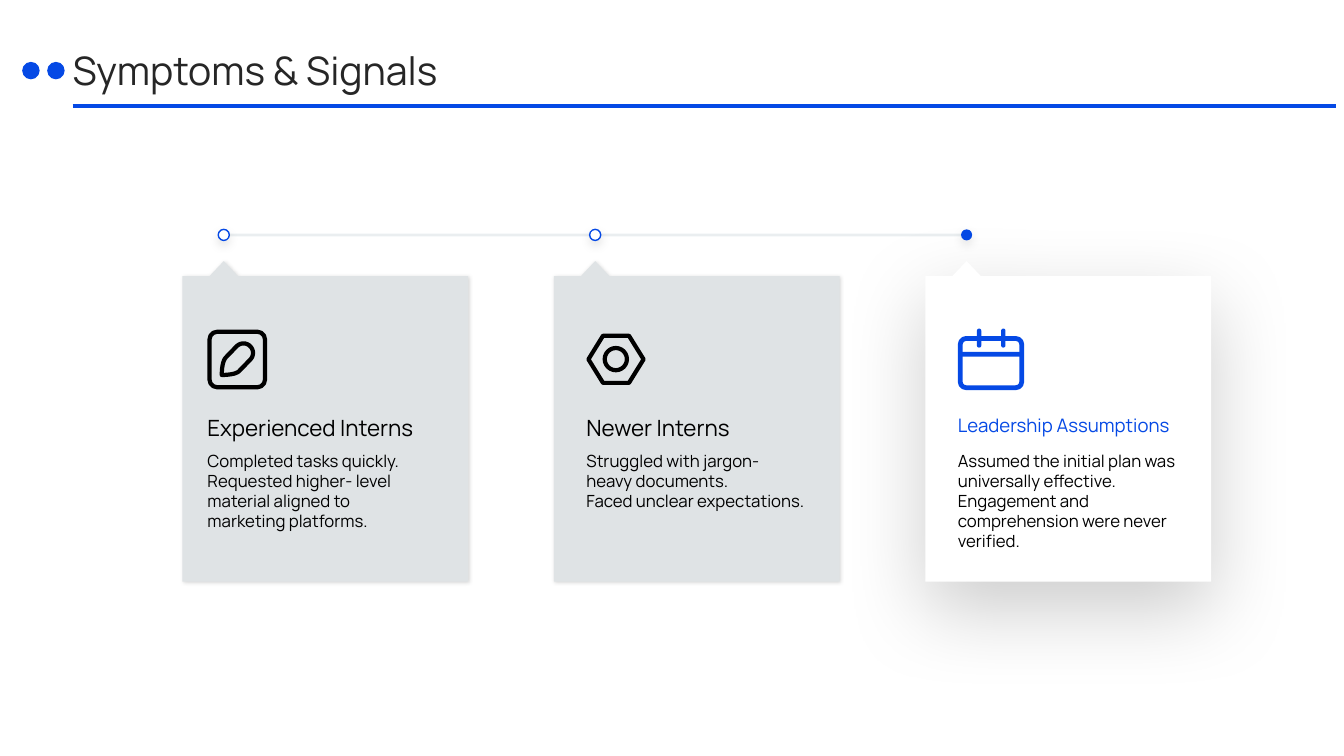
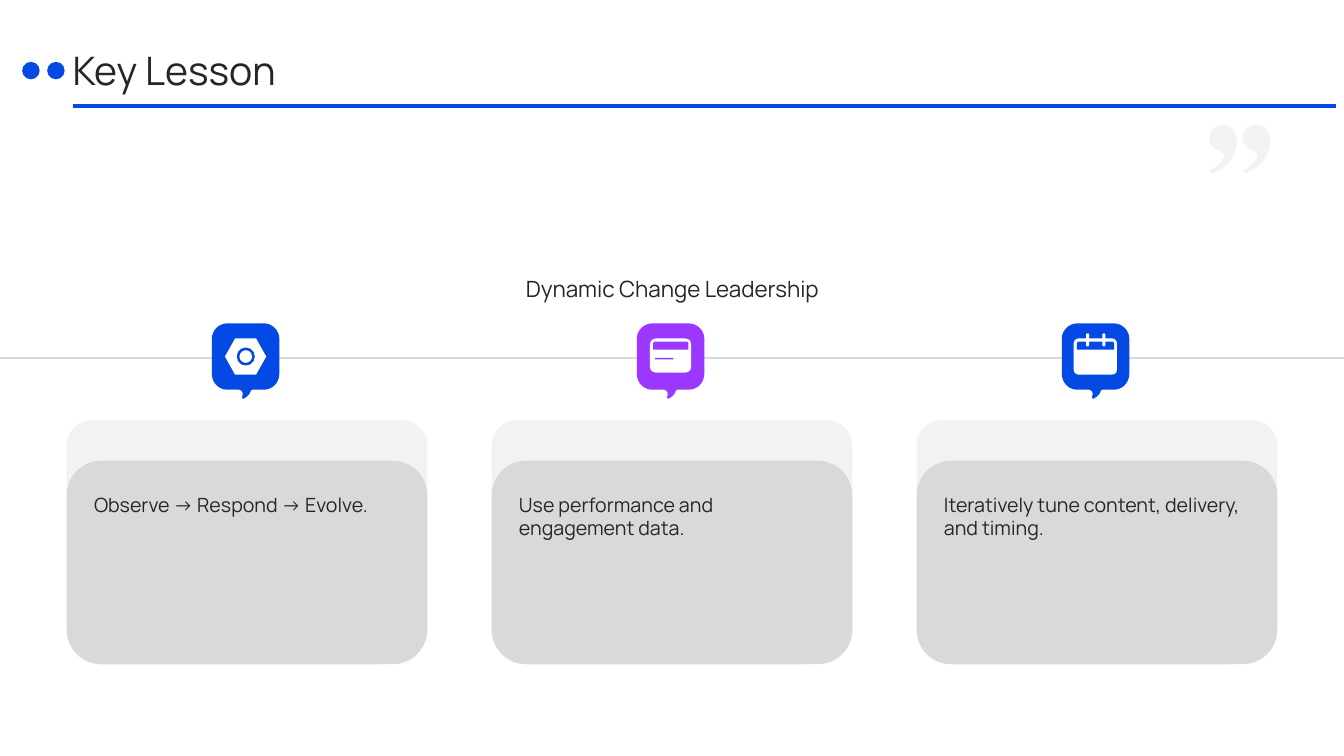
from lxml import etree
from pptx import Presentation
from pptx.dml.color import RGBColor
from pptx.enum.shapes import MSO_CONNECTOR, MSO_SHAPE
from pptx.enum.text import MSO_ANCHOR, PP_ALIGN
from pptx.oxml.ns import qn
from pptx.util import Cm, Pt

RECT, ROUND = MSO_SHAPE.RECTANGLE, MSO_SHAPE.ROUNDED_RECTANGLE
ROUND_TOP = MSO_SHAPE.ROUND_2_SAME_RECTANGLE
OVAL, HEXAGON = MSO_SHAPE.OVAL, MSO_SHAPE.HEXAGON
TOP, MIDDLE, BOTTOM = MSO_ANCHOR.TOP, MSO_ANCHOR.MIDDLE, MSO_ANCHOR.BOTTOM
LEFT, CENTER = PP_ALIGN.LEFT, PP_ALIGN.CENTER

FONT = "Manrope"
BLUE = RGBColor(0x05, 0x49, 0xE5)
PURPLE = RGBColor(0x9B, 0x37, 0xFF)
BLACK = RGBColor(0, 0, 0)
WHITE = RGBColor(0xFF, 0xFF, 0xFF)
INK = RGBColor(0x26, 0x26, 0x26)
SLATE = RGBColor(0x33, 0x5B, 0x74)
CARD_GREY = RGBColor(0xDF, 0xE3, 0xE5)
PALE = RGBColor(0xF2, 0xF2, 0xF2)
GREY = RGBColor(0xD9, 0xD9, 0xD9)

SLIDE_W, SLIDE_H = 33.87, 19.05

# Shadows: opacity %, blur pt, distance pt, direction in degrees
DOT_SHADOW = (11, 7, 3, 90)
FLAT_SHADOW = (15, 3, 1, 45)
RAISED_SHADOW = (20, 60, 20, 90)

# Outlines in cm: a pair is a straight step, six numbers are a Bézier curve
PENCIL = [(0.36, 1.14), (0.36, 0.99, 0.38, 0.79, 0.46, 0.7), (0.74, 0.41),
          (0.84, 0.32, 0.99, 0.32, 1.08, 0.42),
          (1.17, 0.51, 1.17, 0.66, 1.08, 0.75), (0.79, 1.05),
          (0.71, 1.12, 0.51, 1.14, 0.36, 1.14)]
BUBBLE = [(1.32, 1.67), (1.04, 1.67), (1.01, 1.67, 0.99, 1.68, 0.98, 1.7),
          (0.96, 1.78, 0.89, 1.85, 0.81, 1.89),
          (0.79, 1.91, 0.76, 1.89, 0.76, 1.86),
          (0.79, 1.78, 0.79, 1.7, 0.69, 1.67), (0.38, 1.67),
          (0.18, 1.67, 0, 1.5, 0, 1.27), (0, 0.38),
          (0, 0.18, 0.18, 0, 0.38, 0), (1.32, 0),
          (1.52, 0, 1.7, 0.18, 1.7, 0.38), (1.7, 1.27),
          (1.7, 1.5, 1.52, 1.67, 1.32, 1.67)]
QUOTE_MARK = [(0.06, 1.22), (0, 1.15), (0.1, 1.09, 0.2, 1.04, 0.25, 0.97),
              (0.33, 0.89, 0.38, 0.81, 0.38, 0.76),
              (0.38, 0.74, 0.33, 0.69, 0.25, 0.64),
              (0.15, 0.61, 0.1, 0.56, 0.05, 0.51),
              (0.03, 0.46, 0, 0.41, 0, 0.33), (0, 0.23, 0.05, 0.15, 0.1, 0.08),
              (0.18, 0.03, 0.25, 0, 0.33, 0), (0.46, 0, 0.53, 0.03, 0.58, 0.1),
              (0.66, 0.2, 0.69, 0.28, 0.69, 0.43),
              (0.69, 0.53, 0.66, 0.64, 0.61, 0.76),
              (0.56, 0.86, 0.48, 0.97, 0.38, 1.04),
              (0.28, 1.12, 0.18, 1.17, 0.06, 1.22)]

# Icon parts: shape, x, y, w, h, corner, fill, line, line width
EDIT_ICON = [(ROUND, 0.05, 0.05, 1.4, 1.4, 0.14, None, BLACK, 3)]
NUT_ICON = [(HEXAGON, 0.05, 0.15, 1.39, 1.19, 0.31, None, BLACK, 3),
            (OVAL, 0.46, 0.46, 0.56, 0.56, None, None, BLACK, 3)]
CALENDAR_ICON = [(ROUND, 0.06, 0.22, 1.55, 1.24, 0.12, None, BLUE, 3.4),
                 (RECT, 0.06, 0.56, 1.55, 0.12, None, BLUE, None, 0),
                 (ROUND, 0.48, -0.03, 0.11, 0.48, 0.5, BLUE, None, 0),
                 (ROUND, 1.09, -0.03, 0.11, 0.48, 0.5, BLUE, None, 0)]
SOLID_NUT = [(HEXAGON, 0.33, 0.38, 1.04, 0.91, 0.28, WHITE, None, 0),
             (OVAL, 0.66, 0.64, 0.39, 0.39, None, WHITE, BLUE, 1.8)]
SOLID_PANEL = [(ROUND, 0.33, 0.38, 1.04, 0.86, 0.17, WHITE, None, 0),
               (ROUND_TOP, 0.41, 0.46, 0.89, 0.2, 0.25, PURPLE, None, 0),
               (RECT, 0.46, 0.87, 0.46, 0.04, None, PURPLE, None, 0)]
SOLID_CALENDAR = [(ROUND, 0.3, 0.38, 1.09, 0.91, 0.13, WHITE, None, 0),
                  (ROUND_TOP, 0.38, 0.46, 0.94, 0.2, 0.25, BLUE, None, 0),
                  (ROUND, 0.61, 0.25, 0.08, 0.33, 0.5, WHITE, None, 0),
                  (ROUND, 1.02, 0.25, 0.08, 0.33, 0.5, WHITE, None, 0)]

SYMPTOMS = [
    dict(head="Experienced Interns", size=16, color=BLACK, fill=CARD_GREY,
         dot=WHITE, shadow=FLAT_SHADOW, indent=0.63, icon=EDIT_ICON,
         body="Completed tasks quickly.\n"
              "Requested higher- level material aligned to marketing platforms."),
    dict(head="Newer Interns", size=16, color=BLACK, fill=CARD_GREY,
         dot=WHITE, shadow=FLAT_SHADOW, indent=0.82, icon=NUT_ICON,
         body="Struggled with jargon- heavy documents.\n"
              "Faced unclear expectations."),
    dict(head="Leadership Assumptions", size=13.3, color=BLUE, fill=WHITE,
         dot=BLUE, shadow=RAISED_SHADOW, indent=0.82, icon=CALENDAR_ICON,
         body="Assumed the initial plan was universally effective.\n"
              "Engagement and comprehension were never verified."),
]
LESSONS = [
    ("Observe → Respond → Evolve.", BLUE, SOLID_NUT),
    ("Use performance and engagement data.", PURPLE, SOLID_PANEL),
    ("Iteratively tune content, delivery, and timing.", BLUE, SOLID_CALENDAR),
]


def paint(shape, fill=None, line=None, width=1, shadow=None):
    if fill is None:
        shape.fill.background()
    else:
        shape.fill.solid()
        shape.fill.fore_color.rgb = fill
    if line is None:
        shape.line.fill.background()
    else:
        shape.line.color.rgb = line
        shape.line.width = Pt(width)
    shape.shadow.inherit = False
    if shadow:
        opacity, blur, distance, angle = shadow
        effects = shape._element.spPr.find(qn("a:effectLst"))
        outer = etree.SubElement(
            effects, qn("a:outerShdw"), blurRad=str(Pt(blur)),
            dist=str(Pt(distance)), dir=str(angle * 60000),
            algn="ctr", rotWithShape="0")
        color = etree.SubElement(outer, qn("a:srgbClr"), val="000000")
        etree.SubElement(color, qn("a:alpha"), val=str(opacity * 1000))


def add_preset(s, kind, x, y, w, h, corner=None, fill=None, line=None,
               width=1, shadow=None):
    shape = s.shapes.add_shape(kind, Cm(x), Cm(y), Cm(w), Cm(h))
    if corner is not None:
        shape.adjustments[0] = corner
    paint(shape, fill, line, width, shadow)


def add_icon(s, parts, x, y):
    for kind, dx, dy, *rest in parts:
        add_preset(s, kind, x + dx, y + dy, *rest)


def add_outline(s, steps, x, y, **look):
    """Draw a closed outline at (x, y), following each curve in short steps."""
    points = [steps[0]]
    for step in steps[1:]:
        if len(step) == 2:
            points.append(step)
            continue
        x0, y0 = points[-1]
        x1, y1, x2, y2, x3, y3 = step
        for i in range(1, 9):
            t = i / 8
            a, b, c, d = (1 - t)**3, 3*t*(1 - t)**2, 3*t*t*(1 - t), t**3
            points.append((a*x0 + b*x1 + c*x2 + d*x3,
                           a*y0 + b*y1 + c*y2 + d*y3))
    corners = [(Cm(x + px), Cm(y + py)) for px, py in points]
    builder = s.shapes.build_freeform(*corners[0])
    builder.add_line_segments(corners[1:], close=True)
    paint(builder.convert_to_shape(), **look)


def add_rule(s, x1, x2, y, color, width, opacity=100):
    rule = s.shapes.add_connector(MSO_CONNECTOR.STRAIGHT,
                                  Cm(x1), Cm(y), Cm(x2), Cm(y))
    rule.line.color.rgb = color
    rule.line.width = Pt(width)
    if opacity < 100:
        rgb = rule._element.spPr.find(".//" + qn("a:srgbClr"))
        etree.SubElement(rgb, qn("a:alpha"), val=str(opacity * 1000))
    etree.SubElement(rule._element.spPr, qn("a:effectLst"))


def add_text(s, text, x, y, w, h, size, color=INK, align=LEFT, anchor=TOP):
    tf = s.shapes.add_textbox(Cm(x), Cm(y), Cm(w), Cm(h)).text_frame
    tf.word_wrap = True
    tf.vertical_anchor = anchor
    tf.margin_left = tf.margin_right = tf.margin_top = tf.margin_bottom = 0
    p = tf.paragraphs[0]
    p.text = text
    p.alignment = align
    for r in p.runs:
        r.font.name, r.font.size, r.font.color.rgb = FONT, Pt(size), color


def add_titled_slide(prs, title):
    s = prs.slides.add_slide(prs.slide_layouts[6])
    add_text(s, title, 1.83, 1.12, 29.64, 1.3, 28, anchor=MIDDLE)
    add_rule(s, 1.83, 33.68, 2.67, BLUE, 2.25)
    for x in (0.56, 1.19):
        add_preset(s, OVAL, x, 1.56, 0.44, 0.44, fill=BLUE)
    return s


def build_symptoms(prs):
    s = add_titled_slide(prs, "Symptoms & Signals")
    left, pitch, w, h = 4.6, 9.36, 7.2, 7.7
    tip_y, top, icon_y = 6.58, 6.96, 8.31
    tip, half, rise = 1.04, 0.36, top - tip_y
    timeline_y, dot = 5.92, 0.28
    card = [(0, rise), (tip - half, rise), (tip, 0), (tip + half, rise),
            (w, rise), (w, rise + h), (0, rise + h)]
    add_rule(s, left + tip, left + tip + 2 * pitch, timeline_y, SLATE, 2, 10)
    for i, item in enumerate(SYMPTOMS):
        x = left + i * pitch
        text_x = x + item["indent"]
        add_preset(s, OVAL, x + tip - dot / 2, timeline_y - dot / 2, dot, dot,
                   fill=item["dot"], shadow=DOT_SHADOW,
                   line=BLUE if item["dot"] == WHITE else None)
        add_outline(s, card, x, tip_y, fill=item["fill"], shadow=item["shadow"])
        add_icon(s, item["icon"], text_x, icon_y)
        if item["icon"] is EDIT_ICON:
            add_outline(s, PENCIL, text_x, icon_y, line=BLACK, width=3)
        add_text(s, item["head"], text_x, 10.44, 6.2, 0.76,
                 item["size"], item["color"])
        add_text(s, item["body"], text_x, 11.35, 5.56, 3.15, 12, BLACK)


def build_lesson(prs):
    s = add_titled_slide(prs, "Key Lesson")
    left, pitch, w = 1.68, 10.71, 9.09
    for x in (30.48, 31.32):
        add_outline(s, QUOTE_MARK, x, 3.15, fill=PALE)
    add_text(s, "Dynamic Change Leadership", 3.76, 4.6, 26.37, 3, 16,
             align=CENTER, anchor=BOTTOM)
    add_rule(s, 0, SLIDE_W, 9.02, GREY, 1)
    for i, (text, color, icon) in enumerate(LESSONS):
        x = left + i * pitch
        add_preset(s, ROUND, x, 10.59, w, 5.79, 0.11, PALE)
        add_preset(s, ROUND, x, 11.61, w, 5.13, 0.17, GREY)
        add_text(s, text, x + 0.69, 12.42, 7.72, 3.58, 14)
        add_outline(s, BUBBLE, x + 3.66, 8.15, fill=color)
        add_icon(s, icon, x + 3.66, 8.15)


def main():
    prs = Presentation()
    prs.slide_width, prs.slide_height = Cm(SLIDE_W), Cm(SLIDE_H)
    build_symptoms(prs)
    build_lesson(prs)
    prs.save("out.pptx")


if __name__ == "__main__":
    main()
